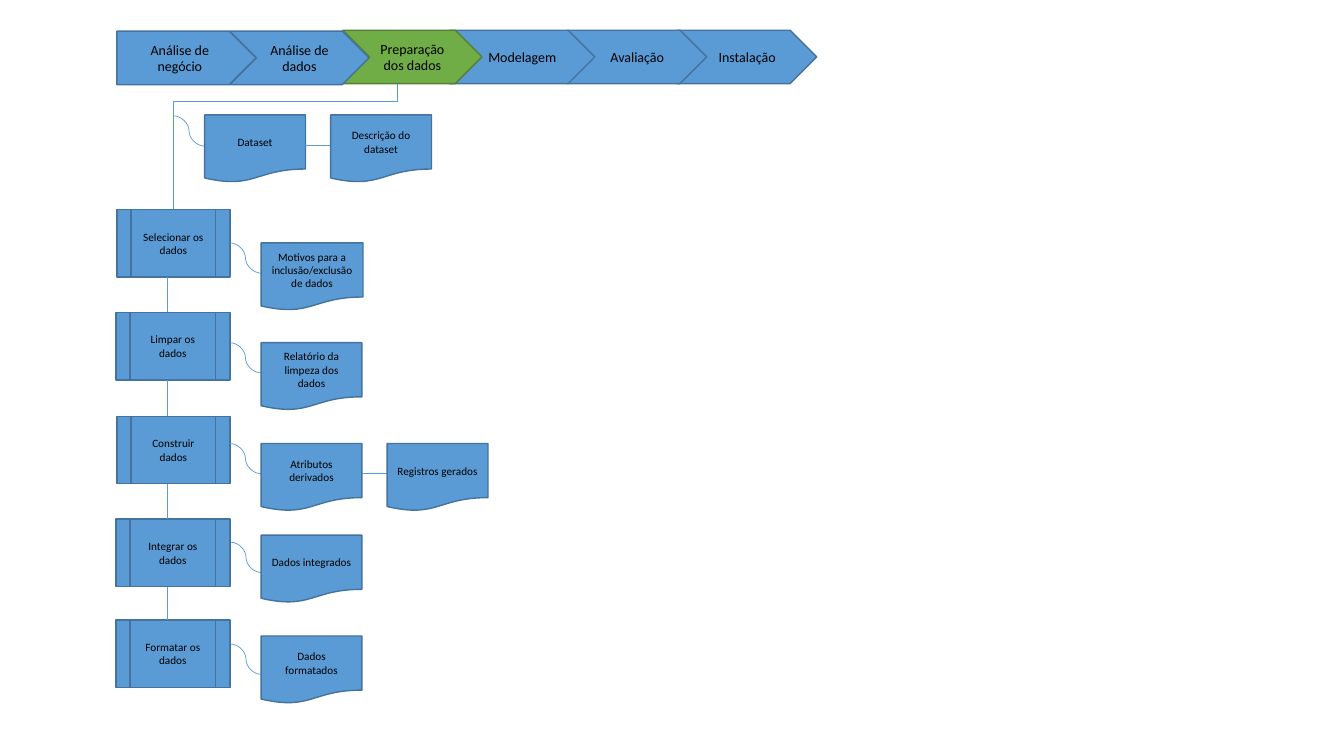
"""Builds the data preparation phase slide of a data mining process."""
from dataclasses import dataclass
from itertools import pairwise

from lxml import etree
from pptx import Presentation
from pptx.dml.color import RGBColor
from pptx.enum.shapes import MSO_CONNECTOR, MSO_SHAPE
from pptx.enum.text import MSO_ANCHOR, PP_ALIGN
from pptx.oxml.ns import qn
from pptx.util import Pt

PX = 9144
PENTAGON, CHEVRON = MSO_SHAPE.PENTAGON, MSO_SHAPE.CHEVRON
PROCESS = MSO_SHAPE.FLOWCHART_PREDEFINED_PROCESS
DOCUMENT = MSO_SHAPE.FLOWCHART_DOCUMENT
STRAIGHT, ELBOW, CURVE = MSO_CONNECTOR.STRAIGHT, MSO_CONNECTOR.ELBOW, MSO_CONNECTOR.CURVE
CENTER, MIDDLE = PP_ALIGN.CENTER, MSO_ANCHOR.MIDDLE


@dataclass(frozen=True)
class Theme:
    font: str = "Calibri"
    text: RGBColor = RGBColor.from_string("000000")
    blue: RGBColor = RGBColor.from_string("5B9BD5")
    blue_line: RGBColor = RGBColor.from_string("43739E")
    green: RGBColor = RGBColor.from_string("70AD47")
    green_line: RGBColor = RGBColor.from_string("538035")
    phase_size: int = 10
    box_size: int = 8


THEME = Theme()
BOX_H = 67
DOC_W = 100
DOC_STEP = 125
SPINE_X = 166

prs = Presentation()
prs.slide_width, prs.slide_height = 1333 * PX, 750 * PX
s = prs.slides.add_slide(prs.slide_layouts[6])


def add_box(kind, text, x, y, w, h, size, active=False):
    sp = s.shapes.add_shape(kind, x * PX, y * PX, w * PX, h * PX)
    sp.shadow.inherit = False
    sp.fill.solid()
    sp.fill.fore_color.rgb = THEME.green if active else THEME.blue
    sp.line.color.rgb = THEME.green_line if active else THEME.blue_line
    sp.line.width = Pt(1)
    tf = sp.text_frame
    tf.text = text
    tf.word_wrap = True
    tf.vertical_anchor = MIDDLE
    p = tf.paragraphs[0]
    p.alignment = CENTER
    font = p.runs[0].font
    font.name, font.size, font.color.rgb = THEME.font, Pt(size), THEME.text


def add_link(kind, x1, y1, x2, y2):
    cxn = s.shapes.add_connector(kind, x1 * PX, y1 * PX, x2 * PX, y2 * PX)
    cxn.line.color.rgb = THEME.blue
    cxn.line.width = Pt(0.5)
    etree.SubElement(cxn._element.spPr, qn("a:effectLst"))
    return cxn


phases = [
    (PENTAGON, "Análise de negócio", 116, 31, 138),
    (CHEVRON, "Instalação", 672, 30, 138),
    (CHEVRON, "Avaliação", 563, 30, 138),
    (CHEVRON, "Modelagem", 446, 30, 144),
    (CHEVRON, "Preparação dos dados", 340, 30, 138),
    (CHEVRON, "Análise de dados", 228, 31, 138),
]
for kind, text, x, y, w in phases:
    add_box(kind, text, x, y, w, 53, THEME.phase_size, text.startswith("Preparação"))

steps = [
    ("Selecionar os dados", 116, 208),
    ("Limpar os dados", 115, 310),
    ("Construir dados", 116, 413),
    ("Integrar os dados", 115, 515),
    ("Formatar os dados", 115, 615),
]
for text, x, y in steps:
    add_box(PROCESS, text, x, y, 228 - x, BOX_H, THEME.box_size)
for (_, _, top), (_, _, next_top) in pairwise(steps):
    add_link(STRAIGHT, SPINE_X, top + BOX_H, SPINE_X, next_top)

trunk = add_link(ELBOW, 221, 34, 345, 257)
trunk._element.spPr.find(qn("a:xfrm")).set("rot", "5400000")
adjust = trunk._element.spPr.find(qn("a:prstGeom")).find(qn("a:avLst"))
etree.SubElement(adjust, qn("a:gd"), name="adj1", fmla="val 14000")

outputs = [
    (172, 115, 203, 114, ["Dataset", "Descrição do dataset"]),
    (228, 241, 259, 241, ["Motivos para a inclusão/exclusão de dados"]),
    (228, 340, 259, 340, ["Relatório da limpeza dos dados"]),
    (228, 440, 259, 440, ["Atributos derivados", "Registros gerados"]),
    (229, 538, 259, 531, ["Dados integrados"]),
    (229, 639, 259, 631, ["Dados formatados"]),
]
for link_x, link_y, doc_x, doc_y, texts in outputs:
    add_link(CURVE, link_x, link_y, doc_x, link_y + 30)
    for i, text in enumerate(texts):
        x = doc_x + i * DOC_STEP
        if i:
            add_link(STRAIGHT, x - DOC_STEP + DOC_W, doc_y + 30, x, doc_y + 30)
        add_box(DOCUMENT, text, x, doc_y, DOC_W + (len(text) > 40), BOX_H, THEME.box_size)

prs.save("out.pptx")
